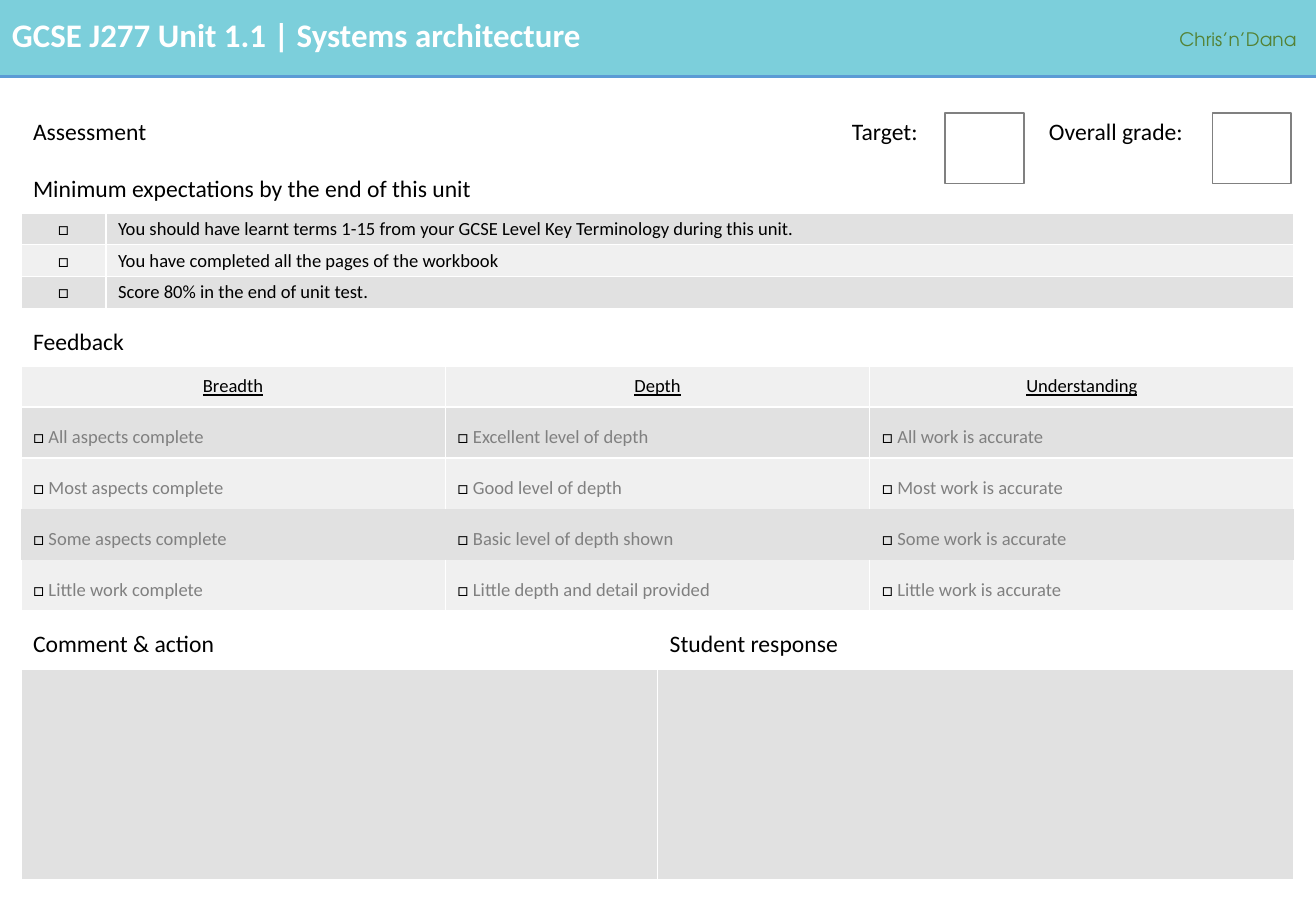
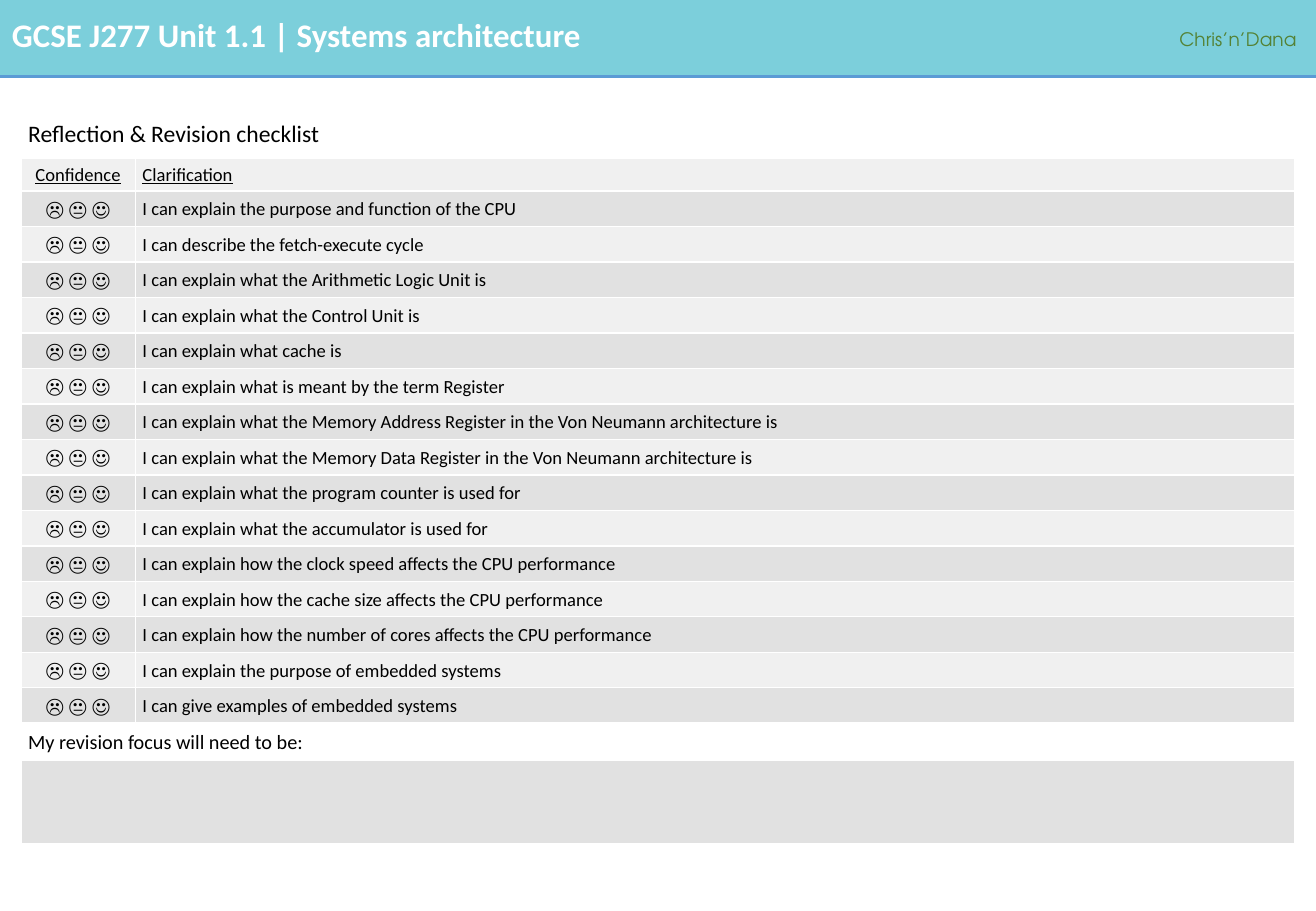
from dataclasses import dataclass
from typing import NamedTuple

from pptx import Presentation
from pptx.dml.color import RGBColor
from pptx.enum.shapes import MSO_CONNECTOR, MSO_SHAPE
from pptx.enum.text import MSO_ANCHOR, PP_ALIGN
from pptx.oxml.ns import qn
from pptx.util import Pt
from lxml.etree import SubElement


class Theme:
    font, author_font = "Calibri", "TeX Gyre Adventor"
    band, rule, author = "7CCFDB", "5B9BD5", "548235"
    white, black, muted = "FFFFFF", "000000", "808080"
    dark, light = "E1E1E1", "F0F0F0"
    title, heading, prompt, body = 19.5, 14, 12, 11


@dataclass
class Style:
    size: float = Theme.body
    align: PP_ALIGN = PP_ALIGN.LEFT
    underline: bool = False
    side: float = 7.2
    top: float = 2.7
    bottom: float = 2.7
    spacing: float = 1


class Cell(NamedTuple):
    text: str
    style: Style
    span: int = 1
    mark: str = ""


class Row(NamedTuple):
    height: float
    fill: str
    cells: list
    edges: str = "LRTB"


TITLE = "GCSE J277 Unit 1.1 | Systems architecture"
AUTHOR = "Chris’n’Dana"
BOX = "□"
FACES = "☹ 😐 ☺"
EXPECTATIONS = [
    "You should have learnt terms 1-15 from your GCSE Level Key Terminology during this unit.",
    "You have completed all the pages of the workbook",
    "Score 80% in the end of unit test.",
]
CRITERIA = ["Breadth", "Depth", "Understanding"]
LEVELS = [
    ("All aspects complete", "Excellent level of depth", "All work is accurate"),
    ("Most aspects complete", "Good level of depth", "Most work is accurate"),
    ("Some aspects complete", "Basic level of depth shown", "Some work is accurate"),
    ("Little work complete", "Little depth and detail provided", "Little work is accurate"),
]
LEVEL_EDGES = ["LRTB", "LRT", "", "LRB"]
CHECKLIST = [
    "I can explain the purpose and function of the CPU",
    "I can describe the fetch-execute cycle",
    "I can explain what the Arithmetic Logic Unit is",
    "I can explain what the Control Unit is",
    "I can explain what cache is",
    "I can explain what is meant by the term Register",
    "I can explain what the Memory Address Register in the Von Neumann architecture is",
    "I can explain what the Memory Data Register in the Von Neumann architecture is",
    "I can explain what the program counter is used for",
    "I can explain what the accumulator is used for",
    "I can explain how the clock speed affects the CPU performance",
    "I can explain how the cache size affects the CPU performance",
    "I can explain how the number of cores affects the CPU performance",
    "I can explain the purpose of embedded systems",
    "I can give examples of embedded systems",
]

WIDTH, HEIGHT, BAND_HEIGHT = 780, 540, 45.4
TABLE_LEFT, TABLE_TOP = 12.4, 58.3
ASSESSMENT_COLS = [50.4, 201.2, 125.8, 108, 17.8, 99, 152.6]
CHECKLIST_COLS = [67.8, 687]
CRITERIA_SPANS = [2, 3, 2]
GRADE_BOX_LEFTS = [560.2, 718.6]

HEADING = Style(Theme.heading, top=11.3, bottom=5.4)
BODY = Style()
MARK = Style(align=PP_ALIGN.CENTER)
CRITERION = Style(align=PP_ALIGN.CENTER, underline=True, top=5.4, bottom=5.4)
OPTION = Style(top=11.3, bottom=5.4)
CHECK_HEADING = Style(Theme.heading, side=4.3, top=11.3, bottom=5.4, spacing=1.07)
CHECK = Style(side=4.3, spacing=1.07)
CHECK_LABEL = Style(underline=True, side=4.3, top=2.6, bottom=2.6, spacing=1.07)
CONFIDENCE_LABEL = Style(align=PP_ALIGN.CENTER, underline=True, side=4.3,
                         top=2.6, bottom=2.6, spacing=1.07)
CONFIDENCE = Style(Theme.prompt, PP_ALIGN.CENTER, side=4.3, spacing=1.07)
PROMPT = Style(Theme.prompt, side=4.3, spacing=1.07)


def rgb(value):
    return RGBColor.from_string(value)


def shade(i):
    return Theme.light if i % 2 else Theme.dark


def set_font(font, size, color, name=Theme.font):
    font.name, font.size = name, Pt(size)
    font.color.rgb = rgb(color)


def add_rect(s, left, top, width, height, fill, line=None):
    sp = s.shapes.add_shape(MSO_SHAPE.RECTANGLE, Pt(left), Pt(top), Pt(width), Pt(height))
    sp.shadow.inherit = False
    sp.fill.solid()
    sp.fill.fore_color.rgb = rgb(fill)
    if line:
        sp.line.color.rgb = rgb(line)
        sp.line.width = Pt(1)
    else:
        sp.line.fill.background()


def add_label(s, text, left, top, width, height, size, color, font, wrap=True):
    tf = s.shapes.add_textbox(Pt(left), Pt(top), Pt(width), Pt(height)).text_frame
    tf.word_wrap = wrap
    p = tf.paragraphs[0]
    p.text = text
    set_font(p.font, size, color, font)
    return p


def add_page(prs):
    s = prs.slides.add_slide(prs.slide_layouts[6])
    add_rect(s, 0, 0, WIDTH, BAND_HEIGHT, Theme.band)
    rule = s.shapes.add_connector(MSO_CONNECTOR.STRAIGHT, 0, Pt(BAND_HEIGHT),
                                  Pt(WIDTH), Pt(BAND_HEIGHT))
    rule.line.color.rgb = rgb(Theme.rule)
    rule.line.width = Pt(2.25)
    SubElement(rule.element.spPr, qn("a:effectLst"))
    p = add_label(s, TITLE, 0, 5, 682.6, 31, Theme.title, Theme.white, Theme.font)
    p.font.bold = True
    p = add_label(s, AUTHOR, 692, 12.2, 88, 21, Theme.body, Theme.author,
                  Theme.author_font, wrap=False)
    p.line_spacing = 1.07
    return s


def set_borders(cell, edges):
    tcPr = cell._tc.get_or_add_tcPr()
    for i, edge in enumerate("LRTB"):
        ln = SubElement(tcPr, qn(f"a:ln{edge}"), w=str(Pt(1)))
        if edge in edges:
            fill = SubElement(ln, qn("a:solidFill"))
            SubElement(fill, qn("a:srgbClr"), val=Theme.white)
        else:
            SubElement(ln, qn("a:noFill"))
        tcPr.insert(i, ln)


def write_cell(cell, content):
    style = content.style
    cell.margin_left = cell.margin_right = Pt(style.side)
    cell.margin_top, cell.margin_bottom = Pt(style.top), Pt(style.bottom)
    cell.vertical_anchor = MSO_ANCHOR.MIDDLE
    p = cell.text_frame.paragraphs[0]
    p.alignment, p.line_spacing = style.align, style.spacing
    set_font(p.font, style.size, Theme.black)
    p.font.underline = style.underline
    if content.mark:
        p.add_run().text = content.mark + " "
    if content.text:
        r = p.add_run()
        r.text = content.text
        if content.mark:
            r.font.color.rgb = rgb(Theme.muted)


def add_grid(s, cols, rows):
    height = sum(row.height for row in rows)
    table = s.shapes.add_table(len(rows), len(cols), Pt(TABLE_LEFT), Pt(TABLE_TOP),
                               Pt(sum(cols)), Pt(height)).table
    table.first_row = table.horz_banding = False
    for col, width in zip(table.columns, cols):
        col.width = Pt(width)
    for y, row in enumerate(rows):
        table.rows[y].height = Pt(row.height)
        for x in range(len(cols)):
            cell = table.cell(y, x)
            cell.fill.solid()
            cell.fill.fore_color.rgb = rgb(row.fill)
            set_borders(cell, row.edges)
        x = 0
        for content in row.cells:
            cell = table.cell(y, x)
            if content.span > 1:
                cell.merge(table.cell(y, x + content.span - 1))
            write_cell(cell, content)
            x += content.span


def assessment_rows():
    return [
        Row(34, Theme.white, [Cell("Assessment", HEADING, 4), Cell("Target:", HEADING, 2),
                              Cell("Overall grade:", HEADING)]),
        Row(33.9, Theme.white,
            [Cell("Minimum expectations by the end of this unit", HEADING, 7)]),
        *[Row(18.9, shade(i), [Cell(BOX, MARK), Cell(text, BODY, 6)])
          for i, text in enumerate(EXPECTATIONS)],
        Row(34.1, Theme.white, [Cell("Feedback", HEADING, 7)]),
        Row(24.3, Theme.light, [Cell(text, CRITERION, span)
                                for text, span in zip(CRITERIA, CRITERIA_SPANS)]),
        *[Row(30.2, shade(i), [Cell(text, OPTION, span, BOX)
                               for text, span in zip(level, CRITERIA_SPANS)], edges)
          for i, (level, edges) in enumerate(zip(LEVELS, LEVEL_EDGES))],
        Row(34.6, Theme.white, [Cell("Comment & action", HEADING, 3),
                                Cell("Student response", HEADING, 4)]),
        Row(125, Theme.dark, [Cell("", BODY, 3), Cell("", BODY, 4)]),
    ]


def checklist_rows():
    return [
        Row(35.3, Theme.white, [Cell("Reflection & Revision checklist", CHECK_HEADING, 2)]),
        Row(19.6, Theme.light, [Cell("Confidence", CONFIDENCE_LABEL),
                                Cell("Clarification", CHECK_LABEL)]),
        *[Row(21.06, shade(i), [Cell(FACES, CONFIDENCE), Cell(text, CHECK)])
          for i, text in enumerate(CHECKLIST)],
        Row(21.9, Theme.white, [Cell("My revision focus will need to be:", PROMPT, 2)]),
        Row(49.8, Theme.dark, [Cell("", BODY, 2)]),
    ]


def main():
    prs = Presentation()
    prs.slide_width, prs.slide_height = Pt(WIDTH), Pt(HEIGHT)
    s = add_page(prs)
    add_grid(s, ASSESSMENT_COLS, assessment_rows())
    for left in GRADE_BOX_LEFTS:
        add_rect(s, left, 67, 46.8, 41.8, Theme.white, Theme.muted)
    add_grid(add_page(prs), CHECKLIST_COLS, checklist_rows())
    prs.save("out.pptx")


if __name__ == "__main__":
    main()
